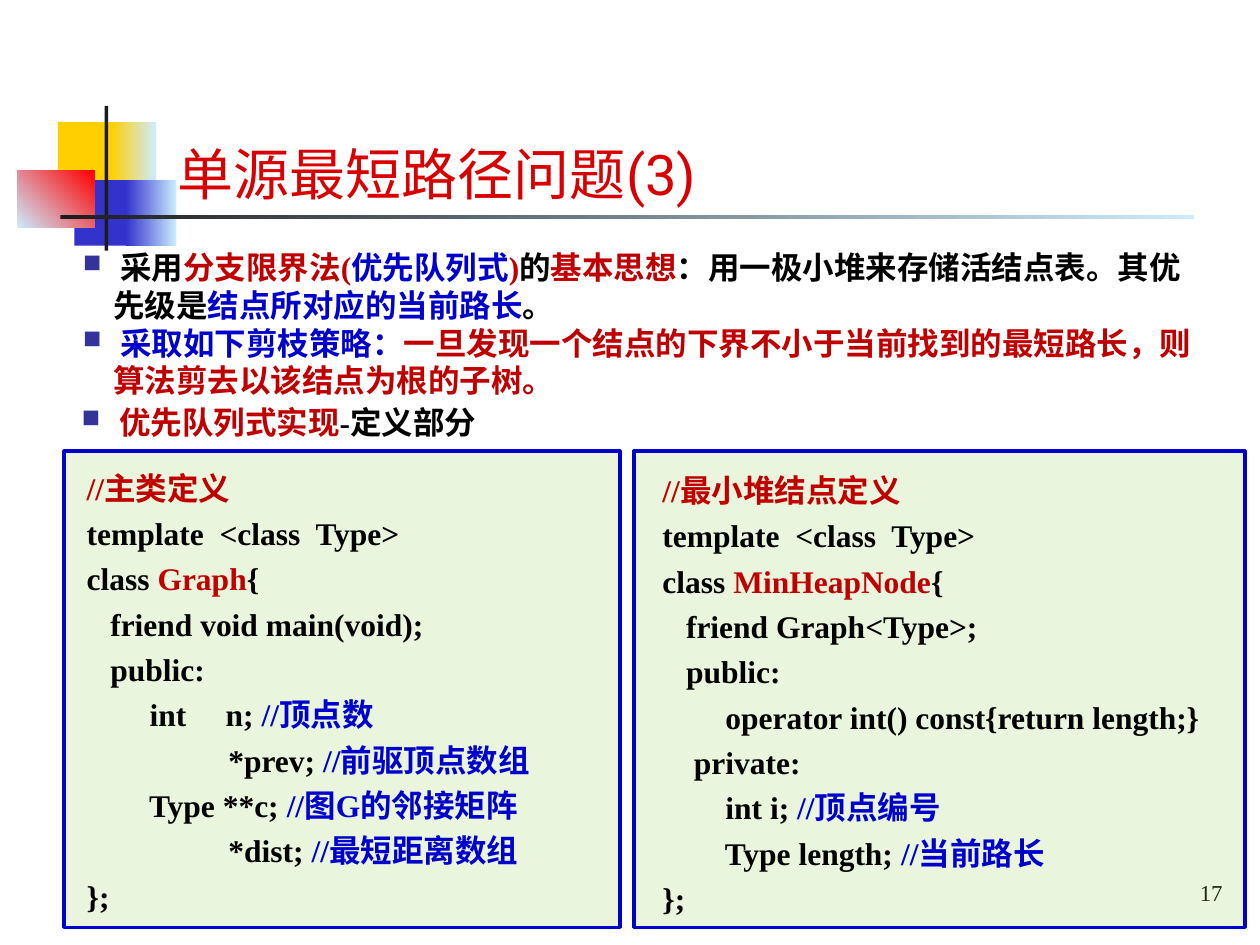
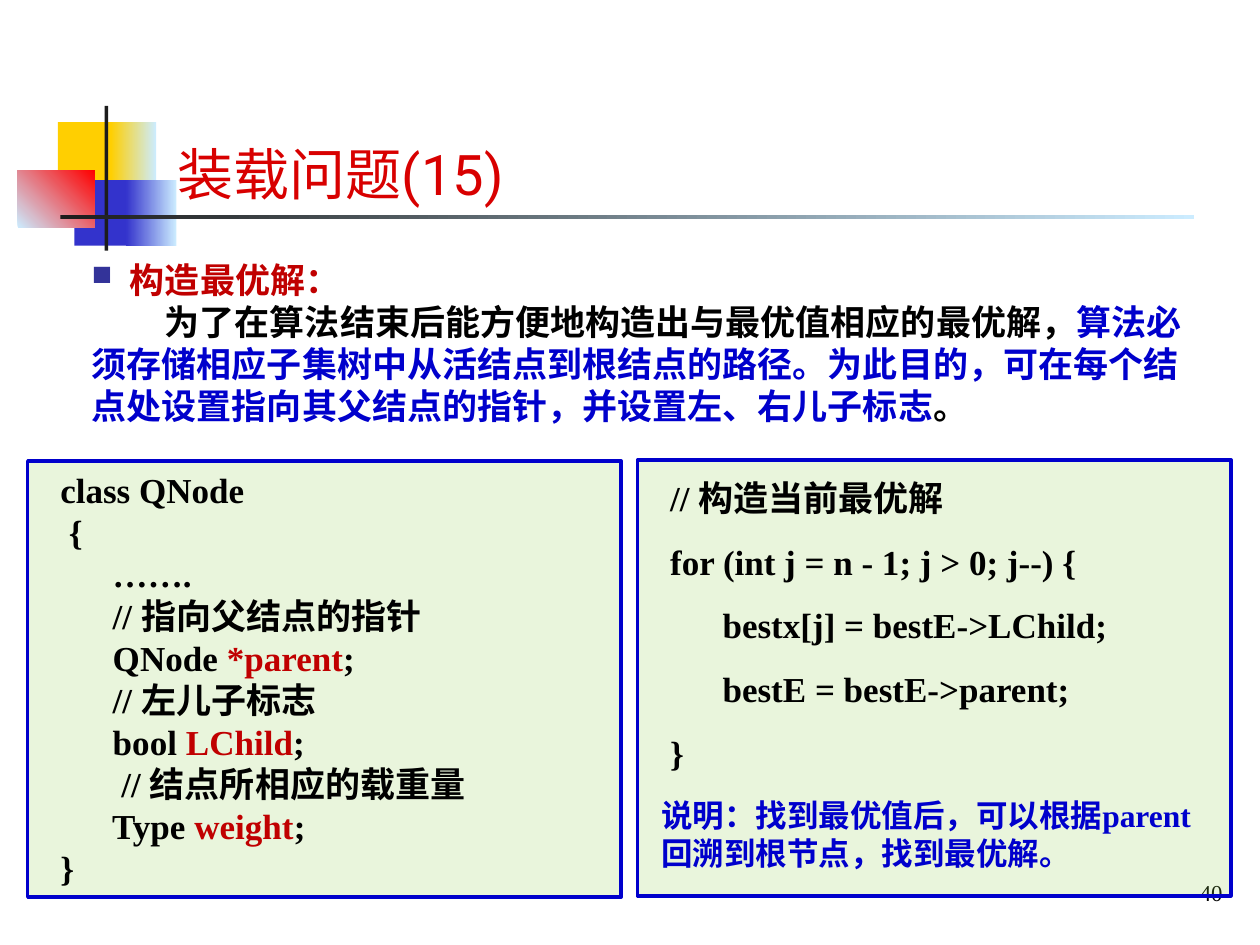
from lxml.etree import SubElement
from pptx import Presentation
from pptx.dml.color import RGBColor
from pptx.enum.shapes import MSO_SHAPE as SHAPE
from pptx.enum.text import MSO_ANCHOR as ANCHOR, MSO_AUTO_SIZE as AUTO, PP_ALIGN as ALIGN
from pptx.oxml.ns import qn
from pptx.util import Inches, Pt

BLACK = RGBColor(0x00, 0x00, 0x00)
INK = RGBColor(0x1C, 0x1C, 0x1C)
RED = RGBColor(0xC0, 0x00, 0x00)
BLUE = RGBColor(0x00, 0x00, 0xCC)
TITLE_RED = RGBColor(0xD8, 0x00, 0x00)
GREEN = RGBColor(0x92, 0xD0, 0x50)
SKY = RGBColor(0xCC, 0xEC, 0xFF)
YELLOW = RGBColor(0xFF, 0xCF, 0x01)
INDIGO = RGBColor(0x33, 0x33, 0xCC)
BRIGHT_RED = RGBColor(0xFF, 0x00, 0x00)
BULLET_COLOR = "333399"

TITLE_FONT = "Roboto"
BODY_FONT = "Times New Roman"
BULLET_INDENT = 0.24

ORNAMENTS = [
    ((0.46, 0.97, 0.48, 0.52), [YELLOW], 0),
    ((0.88, 0.97, 0.36, 0.52), [YELLOW, SKY], 0),
    ((0.59, 1.43, 0.46, 0.52), [INDIGO], 0),
    ((1, 1.43, 0.4, 0.52), [INDIGO, SKY], 0),
    ((0.14, 1.35, 0.61, 0.46), [SKY, BRIGHT_RED], 45),
    ((0.83, 0.84, 0.03, 1.15), [INK], 0),
    ((0.48, 1.71, 9, 0.03), [INK, SKY], 0),
]

GRAPH_CODE = [
    [("//主类定义", RED)],
    [("template  <class  Type>", BLACK)],
    [("class ", BLACK), ("Graph", RED), ("{", BLACK)],
    [("   friend void main(void);", BLACK)],
    [("   public:", BLACK)],
    [("        int     n; ", BLACK), ("//顶点数", BLUE)],
    [("                  *prev; ", BLACK), ("//前驱顶点数组", BLUE)],
    [("        Type **c; ", BLACK), ("//图G的邻接矩阵", BLUE)],
    [("                  *dist; ", BLACK), ("//最短距离数组", BLUE)],
    [("};", BLACK)],
]

HEAP_NODE_CODE = [
    [("//最小堆结点定义", RED)],
    [("template  <class  Type>", BLACK)],
    [("class ", BLACK), ("MinHeapNode", RED), ("{", BLACK)],
    [("   friend Graph<Type>;", BLACK)],
    [("   public:", BLACK)],
    [("        operator int() const{return length;}", BLACK)],
    [("    private:", BLACK)],
    [("        int i; ", BLACK), ("//顶点编号", BLUE)],
    [("        Type length; ", BLACK), ("//当前路长", BLUE)],
    [("};", BLACK)],
]

QNODE_CODE = [
    [("class QNode", BLACK)],
    [(" {", BLACK)],
    [("      …….", BLACK)],
    [("      // 指向父结点的指针", BLACK)],
    [("      QNode ", BLACK), ("*parent", RED), (";", BLACK)],
    [("      // 左儿子标志", BLACK)],
    [("      bool ", BLACK), ("LChild", RED), (";", BLACK)],
    [("       // 结点所相应的载重量", BLACK)],
    [("      Type ", BLACK), ("weight", RED), (";", BLACK)],
    [("}", BLACK)],
]

BACKTRACK_CODE = [
    [("// 构造当前最优解", BLACK)],
    [("for (int j = n - 1; j > 0; j--) {", BLACK)],
    [("      bestx[j] = bestE->LChild;", BLACK)],
    [("      bestE = bestE->parent;", BLACK)],
    [("}", BLACK)],
]

STRATEGY = [
    [(" 采用", BLACK), ("分支限界法(", RED), ("优先队列式", BLUE), (")", RED),
     ("的", BLACK), ("基本思想", RED),
     ("：用一极小堆来存储活结点表。其优先级是", BLACK),
     ("结点所对应的当前路长", BLUE), ("。", BLACK)],
    [(" 采取如下剪枝策略：", BLUE),
     ("一旦发现一个结点的下界不小于当前找到的最短路长，则算法剪去以该结点为根的子树。", RED)],
]

BEST_SOLUTION = [
    [(" 构造最优解：", RED)],
    [("为了在算法结束后能方便地构造出与最优值相应的最优解，", BLACK),
     ("算法必须存储相应子集树中从活结点到根结点的路径。为此目的，"
      "可在每个结点处设置指向其父结点的指针，并设置左、右儿子标志", BLUE),
     ("。", BLACK)],
]


def add_rect(s, box):
    sp = s.shapes.add_shape(SHAPE.RECTANGLE, *map(Inches, box))
    sp.shadow.inherit = False
    return sp


def add_ornament(s, box, colors, angle):
    sp = add_rect(s, box)
    sp.line.fill.background()
    if len(colors) == 1:
        sp.fill.solid()
        sp.fill.fore_color.rgb = colors[0]
    else:
        sp.fill.gradient()
        sp.fill.gradient_angle = angle
        for stop, color in zip(sp.fill.gradient_stops, colors):
            stop.color.rgb = color
    return sp


def decorate_layout(layout, s):
    for box, colors, angle in ORNAMENTS:
        layout.shapes.element.append(add_ornament(s, box, colors, angle).element)


def add_panel(s, box):
    sp = add_rect(s, box)
    sp.fill.solid()
    sp.fill.fore_color.rgb = GREEN
    color = sp.element.spPr.find(qn("a:solidFill"))[0]
    SubElement(color, qn("a:alpha")).set("val", "20000")
    sp.line.color.rgb = BLUE
    sp.line.width = Pt(2)


def set_indent(p, left, first):
    pPr = p._p.get_or_add_pPr()
    pPr.set("marL", str(Inches(left)))
    pPr.set("indent", str(Inches(first)))
    return pPr


def add_bullet(p):
    pPr = set_indent(p, BULLET_INDENT, -BULLET_INDENT)
    SubElement(SubElement(pPr, qn("a:buClr")), qn("a:srgbClr")).set("val", BULLET_COLOR)
    SubElement(pPr, qn("a:buSzPct")).set("val", "80000")
    SubElement(pPr, qn("a:buChar")).set("char", "■")


def add_text(s, box, lines, size, bullets=0, spacing=None, before=0, bold=True):
    tf = s.shapes.add_textbox(*map(Inches, box)).text_frame
    tf.word_wrap = True
    for i, line in enumerate(lines):
        p = tf.paragraphs[0] if i == 0 else tf.add_paragraph()
        if i < bullets:
            add_bullet(p)
        if spacing:
            p.line_spacing = spacing
        if i and before:
            p.space_before = Pt(before)
        for text, color in line:
            r = p.add_run()
            r.text = text
            r.font.name = BODY_FONT
            r.font.size = Pt(size)
            r.font.bold = bold
            r.font.color.rgb = color
    return tf


def set_title(s, text):
    title = s.shapes.title
    title.left, title.top, title.width, title.height = map(Inches, (1.31, 0.6, 8.42, 1.09))
    tf = title.text_frame
    tf.text = text
    tf.auto_size = AUTO.NONE
    tf.vertical_anchor = ANCHOR.BOTTOM
    p = tf.paragraphs[0]
    p.alignment = ALIGN.LEFT
    font = p.runs[0].font
    font.name = TITLE_FONT
    font.size = Pt(32)
    font.color.rgb = TITLE_RED


def add_page_number(s, number):
    tf = add_text(s, (7.89, 6.9, 1.91, 0.37), [[(number, BLACK)]], 13, bold=False)
    tf.vertical_anchor = ANCHOR.MIDDLE
    tf.paragraphs[0].alignment = ALIGN.RIGHT


def start_slide(s, title, number):
    set_title(s, title)
    add_page_number(s, number)


def build_shortest_path(s):
    start_slide(s, "单源最短路径问题(3)", "17")
    add_text(s, (0.55, 3.15, 9.02, 0.4),
             [[(" 优先队列式实现", RED), ("-定义部分", BLACK)]], 18, bullets=1)
    add_panel(s, (0.51, 3.58, 4.41, 3.78))
    add_text(s, (0.59, 3.61, 4.33, 3.7), GRAPH_CODE, 18, spacing=1.2)
    add_panel(s, (5.03, 3.58, 4.85, 3.78))
    add_text(s, (5.16, 3.63, 4.56, 3.7), HEAP_NODE_CODE, 18, spacing=1.2)
    add_text(s, (0.56, 1.92, 9.08, 1.3), STRATEGY, 18, bullets=2)


def build_loading(s):
    start_slide(s, "装载问题(15)", "40")
    tf = add_text(s, (0.63, 2, 8.93, 1.77), BEST_SOLUTION, 20, bullets=1)
    set_indent(tf.paragraphs[1], 0, 0.58)
    add_panel(s, (0.22, 3.66, 4.71, 3.46))
    add_text(s, (0.38, 3.67, 4.39, 3.44), QNODE_CODE, 20)
    add_panel(s, (5.06, 3.65, 4.71, 3.46))
    add_text(s, (5.22, 3.73, 4.39, 2.46), BACKTRACK_CODE, 20, before=12.5)
    add_text(s, (5.15, 6.27, 4.54, 0.7),
             [[("说明：找到最优值后，可以根据parent回溯到根节点，找到最优解。", BLUE)]], 18)


def main():
    prs = Presentation()
    prs.slide_width, prs.slide_height = Inches(10), Inches(7.5)
    layout = prs.slide_layouts[5]
    shortest_path, loading = [prs.slides.add_slide(layout) for _ in range(2)]
    decorate_layout(layout, shortest_path)
    build_shortest_path(shortest_path)
    build_loading(loading)
    prs.save("out.pptx")


if __name__ == "__main__":
    main()
